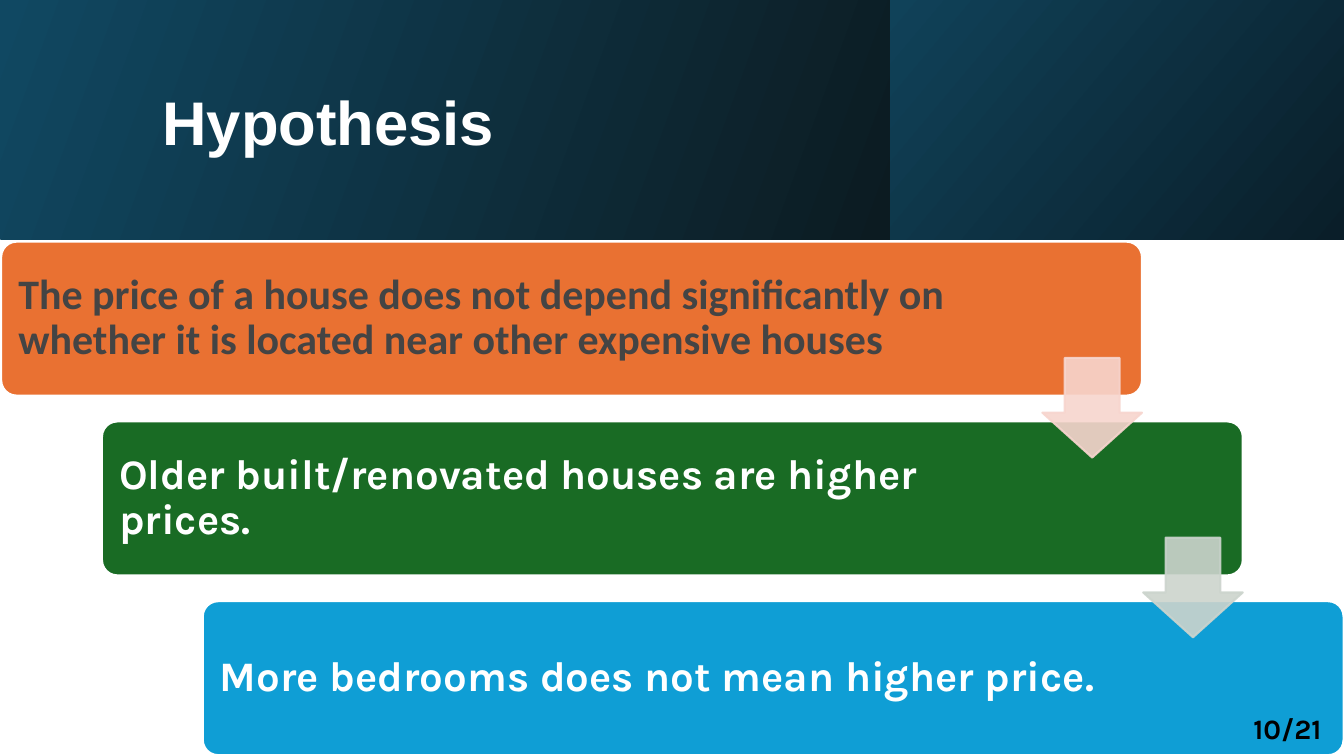
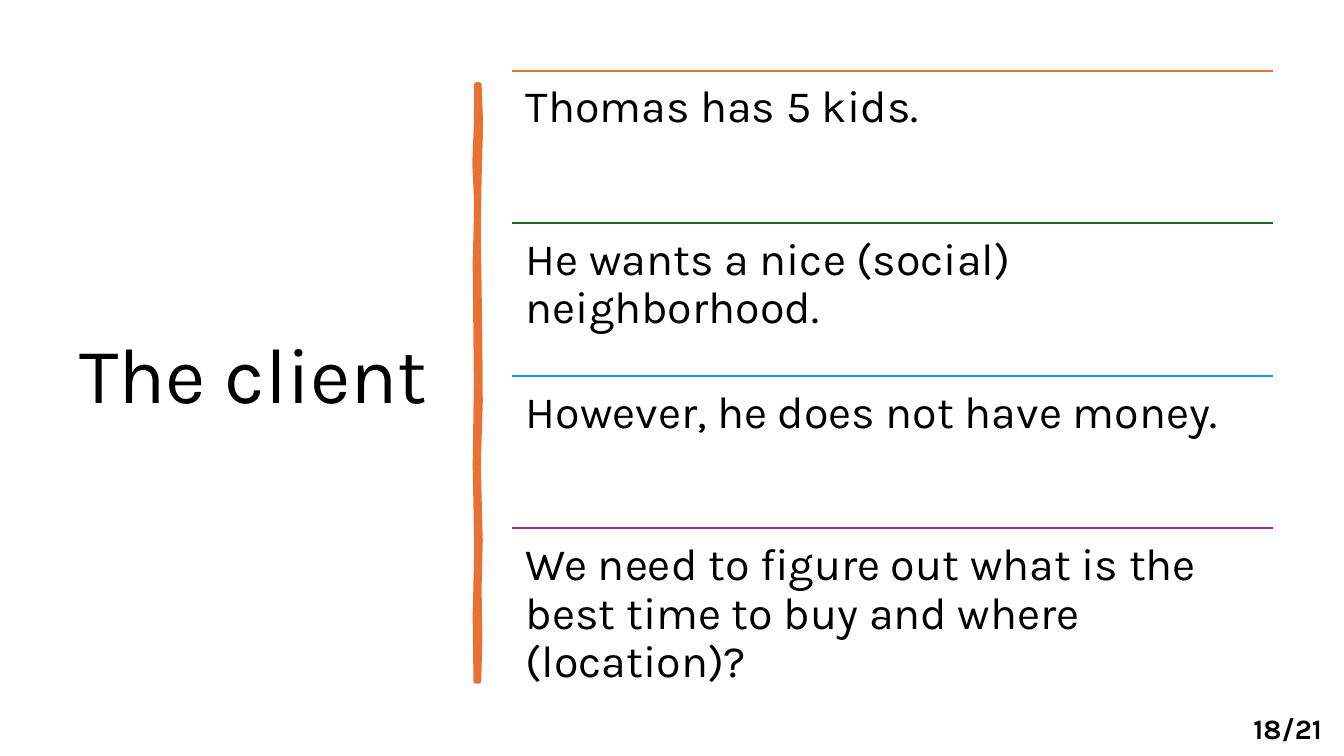
import pptx
import pptx.util
import pptx.dml.color
import pptx.enum.shapes
import pptx.enum.text
import pptx.oxml.ns
import lxml.etree

Cm = pptx.util.Cm
Pt = pptx.util.Pt
RGB = pptx.dml.color.RGBColor
SHAPE = pptx.enum.shapes.MSO_SHAPE
ANCHOR = pptx.enum.text.MSO_ANCHOR
qn = pptx.oxml.ns.qn

WHITE = RGB(0xFF, 0xFF, 0xFF)
BLACK = RGB(0x00, 0x00, 0x00)
GRAY = RGB(0x44, 0x44, 0x44)
ORANGE = RGB(0xE9, 0x71, 0x32)
GREEN = RGB(0x19, 0x6B, 0x24)
BLUE = RGB(0x0F, 0x9E, 0xD5)
PURPLE = RGB(0xA0, 0x2B, 0x93)
PINK = RGB(0xF7, 0xD5, 0xCE)
SAGE = RGB(0xCC, 0xD4, 0xCD)
TEAL = RGB(0x10, 0x48, 0x62)
NIGHT = RGB(0x0C, 0x1B, 0x21)
SEA = RGB(0x10, 0x42, 0x59)
DUSK = RGB(0x0A, 0x1E, 0x29)
FONT = "Karla"

WIDE, HIGH = 33.87, 19.05
CARDS = [
    ("The price of a house does not depend significantly on whether it is "
     "located near other expensive houses", ORANGE, "Calibri", GRAY, 4.26),
    ("Older built/renovated houses are higher prices.", GREEN, FONT, WHITE, 5.35),
    ("More bedrooms does not mean higher price.", BLUE, FONT, WHITE, 5.35),
]
ROWS = [
    ("Thomas has 5 kids.", ORANGE),
    ("He wants a nice (social) neighborhood.", GREEN),
    ("However, he does not have money.", BLUE),
    ("We need to figure out what is the best time to buy and where (location)?",
     PURPLE),
]
RIGHT = [(6, 0), (10, 100), (6, 240), (4, 370), (8, 650), (9, 800), (4, 960),
         (9, 1150), (6, 1270), (8, 1400), (5, 1504)]
LEFT = [(-3, 1504), (-5, 1340), (-1, 1170), (-5, 960), (-2, 750), (-5, 450),
        (-1, 300), (-6, 200), (-2, 100), (-1, 0)]


def write(frame, text, size, color, font=FONT, bold=False, line=0.9,
          inset=(0.25, 0.13, 0.25, 0.13), anchor=ANCHOR.TOP):
    """Fill a frame with one styled, left-aligned paragraph."""
    frame.text = text
    frame.word_wrap = True
    frame.auto_size = pptx.enum.text.MSO_AUTO_SIZE.NONE
    frame.vertical_anchor = anchor
    frame.margin_left, frame.margin_top, frame.margin_right, frame.margin_bottom = map(Cm, inset)
    para = frame.paragraphs[0]
    para.alignment = pptx.enum.text.PP_ALIGN.LEFT
    para.line_spacing = line
    face = para.runs[0].font
    face.name, face.size, face.bold = font, Pt(size), bold
    face.color.rgb = color


def paint(shape, fill, edge, width=1.5):
    """Give a shape a plain fill and outline without shadow."""
    shape.shadow.inherit = False
    shape.fill.solid()
    shape.fill.fore_color.rgb = fill
    shape.line.color.rgb = edge
    shape.line.width = Pt(width)


def place(slide, kind, box):
    """Add a preset shape in a box given in centimetres."""
    return slide.shapes.add_shape(kind, *map(Cm, box))


def start(deck, page):
    """Add a title-only slide with its page number."""
    slide = deck.slides.add_slide(deck.slide_layouts[5])
    return slide, page


def title(slide, box, text, size, color, **style):
    """Move and format the title placeholder."""
    head = slide.shapes.title
    head.left, head.top, head.width, head.height = map(Cm, box)
    write(head.text_frame, text, size, color, anchor=ANCHOR.MIDDLE, **style)


def footer(slide, page):
    """Write the page number in the lower right corner."""
    box = slide.shapes.add_textbox(Cm(31.34), Cm(17.8), Cm(2.46), Cm(1.11))
    write(box.text_frame, page, 20, BLACK, bold=True, line=1.0)


def band(slide, box, split):
    """Draw the two gradient panels behind the title."""
    left, top, width, height = box
    parts = [(left, split, TEAL, NIGHT, 340),
             (left + split, width - split, SEA, DUSK, 320)]
    for x, span, first, last, angle in parts:
        panel = place(slide, SHAPE.RECTANGLE, (x, top, span, height))
        panel.shadow.inherit = False
        panel.line.fill.background()
        panel.fill.gradient()
        panel.fill.gradient_angle = angle
        for stop, color, spot in zip(panel.fill.gradient_stops, (first, last), (0, 1)):
            stop.color.rgb = color
            stop.position = spot
        slide.shapes._spTree.remove(panel._element)
        slide.shapes._spTree.insert_element_before(panel._element, "p:sp")
    tree = slide.shapes._spTree
    head = slide.shapes.title._element
    tree.remove(head)
    tree.append(head)


def arrow(slide, box, color):
    """Draw a slightly clear down arrow."""
    shape = place(slide, SHAPE.DOWN_ARROW, box)
    shape.adjustments[0], shape.adjustments[1] = 0.55, 0.45
    paint(shape, color, color)
    for tint in shape._element.spPr.iter(qn("a:srgbClr")):
        lxml.etree.SubElement(tint, qn("a:alpha")).set("val", "90000")


def stairs(slide, box):
    """Draw the cards stepping down to the right with arrows between."""
    left, top, width, height = box
    wide, high, size = 28.75, 3.88, 2.51
    over = (width - wide) / (len(CARDS) - 1)
    down = (height - high) / (len(CARDS) - 1)
    for i, (text, fill, font, color, gap) in enumerate(CARDS):
        card = place(slide, SHAPE.ROUNDED_RECTANGLE,
                     (left + i * over, top + i * down, wide, high))
        card.adjustments[0] = 0.1
        paint(card, fill, WHITE)
        write(card.text_frame, text, 30, color, font, True,
              inset=(0.32, 0.3, gap, 0.3), anchor=ANCHOR.MIDDLE)
    for i, color in enumerate((PINK, SAGE)):
        arrow(slide, (left + i * over + wide - size, top + i * down + high - 0.95,
                      size, size), color)


def brush(slide, x, y):
    """Draw the uneven upright stroke."""
    points = [(x * 100 + dx, y * 100 + dy) for dx, dy in RIGHT + LEFT]
    path = slide.shapes.build_freeform(*points[0], scale=Cm(0.01))
    path.add_line_segments(points[1:])
    paint(path.convert_to_shape(), ORANGE, ORANGE, 3.25)


def rows(slide, box):
    """Write the statements, each below a coloured rule."""
    left, top, width, height = box
    step = height / len(ROWS)
    for i, (text, color) in enumerate(ROWS):
        y = top + i * step
        rule = slide.shapes.add_connector(
            pptx.enum.shapes.MSO_CONNECTOR.STRAIGHT,
            Cm(left), Cm(y), Cm(left + width), Cm(y))
        rule.line.color.rgb = color
        rule.line.width = Pt(1.5)
        lxml.etree.SubElement(rule._element.spPr, qn("a:effectLst"))
        note = slide.shapes.add_textbox(Cm(left), Cm(y), Cm(width), Cm(step))
        write(note.text_frame, text, 32, BLACK, inset=(0.34,) * 4)


def guess(deck):
    """Build the hypothesis slide."""
    slide, page = start(deck, "10/21")
    band(slide, (0, 0, WIDE, 6.03), 22.43)
    title(slide, (3.84, 0.97, 27, 4.37), "Hypothesis", 44, WHITE,
          font="Arial", bold=True)
    stairs(slide, (0.03, 6.09, 33.83, 12.94))
    footer(slide, page)


def client(deck):
    """Build the client slide."""
    slide, page = start(deck, "18/21")
    title(slide, (1.75, 1.78, 9.5, 15.52), "The client", 56, BLACK)
    brush(slide, 12.02, 2.13)
    rows(slide, (12.91, 1.78, 19.17, 15.38))
    footer(slide, page)


def main():
    """Build and save the deck."""
    deck = pptx.Presentation()
    deck.slide_width, deck.slide_height = Cm(WIDE), Cm(HIGH)
    guess(deck)
    client(deck)
    deck.save("out.pptx")


if __name__ == "__main__":
    main()
